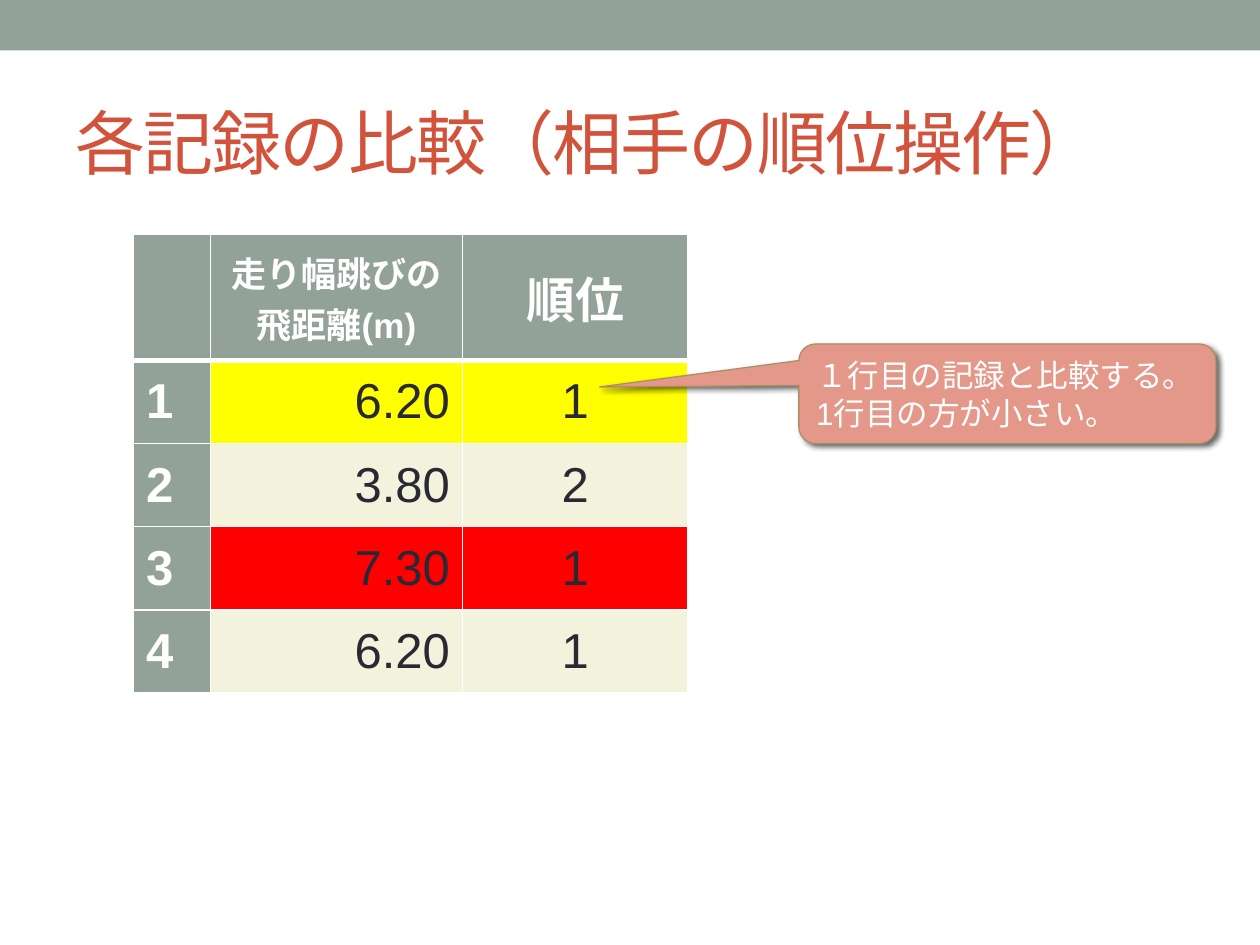
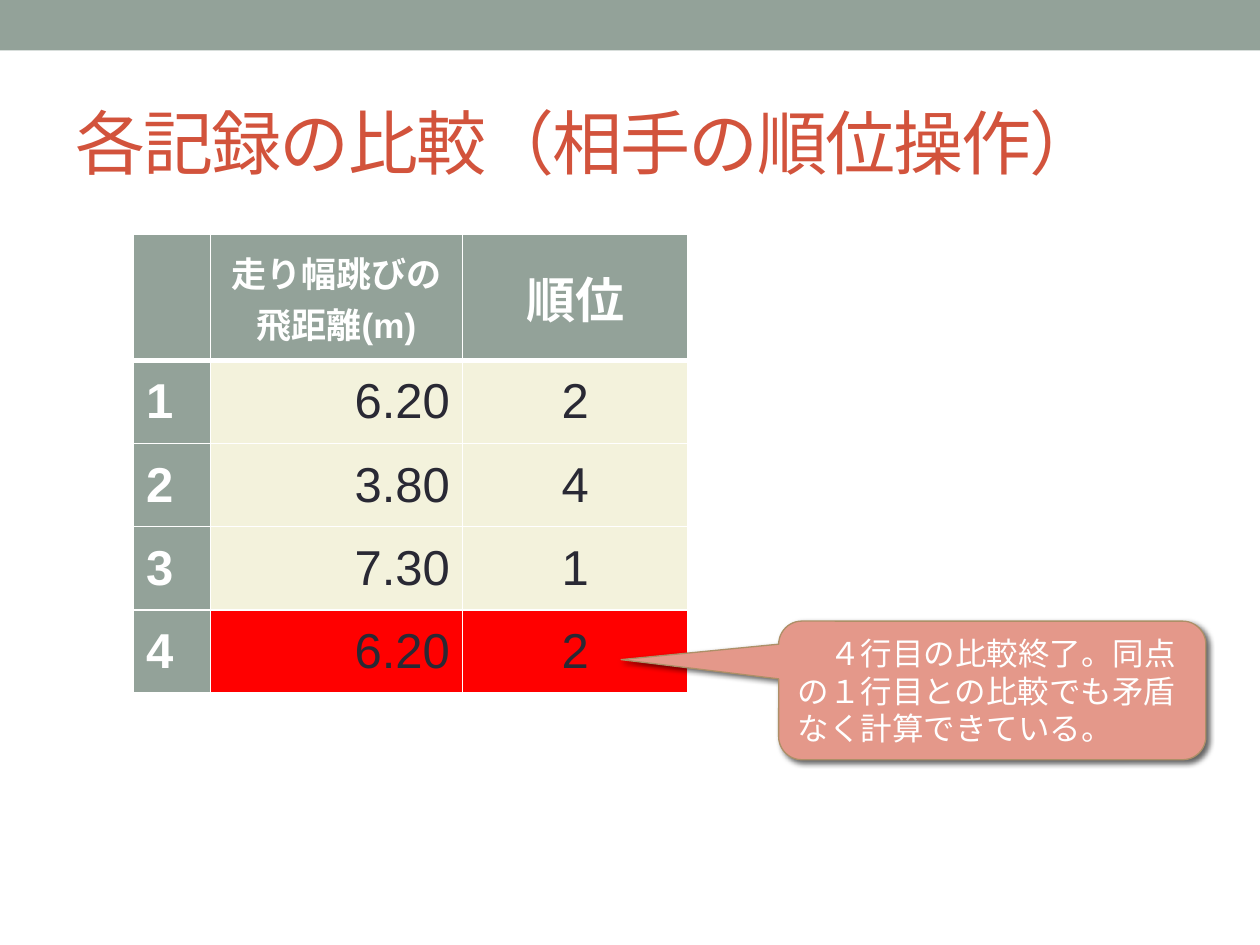
"""Build two slides that compare long-jump records and their ranks."""
from lxml import etree
from pptx import Presentation
from pptx.dml.color import RGBColor
from pptx.enum.shapes import MSO_SHAPE as SHAPE
from pptx.enum.text import MSO_ANCHOR as ANCHOR, PP_ALIGN as ALIGN
from pptx.oxml import parse_xml
from pptx.oxml.ns import nsdecls, qn
from pptx.util import Inches, Pt

FONT = "Arial"
SAGE = RGBColor(0x93, 0xA2, 0x99)
RUST = RGBColor(0xD2, 0x53, 0x3C)
SALMON = RGBColor(0xE4, 0x98, 0x8A)
TAN = RGBColor(0xAD, 0x8F, 0x67)
CREAM = RGBColor(0xF3, 0xF2, 0xDC)
INK = RGBColor(0x29, 0x29, 0x34)
WHITE = RGBColor(0xFF, 0xFF, 0xFF)
YELLOW = RGBColor(0xFF, 0xFF, 0x00)
RED = RGBColor(0xFF, 0x00, 0x00)

TITLE = "各記録の比較（相手の順位操作）"
HEADERS = [([], 28), (["走り幅跳びの", "飛距離(m)"], 20), (["順位"], 28)]
DISTANCES = ["6.20", "3.80", "7.30", "6.20"]
COL_WIDTHS = [0.61, 2, 1.79]
ROW_HEIGHTS = [1] + [0.66] * len(DISTANCES)
COL_ALIGNS = [ALIGN.LEFT, ALIGN.RIGHT, ALIGN.CENTER]

SLIDES = [
    {
        "ranks": [1, 2, 1, 1],
        "highlights": {1: YELLOW, 3: RED},
        "callout": ["１行目の記録と比較する。", "1行目の方が小さい。"],
        "box": (6.34, 2.73, 3.31, 0.79),
        "tail": (-0.978, -0.068),
    },
    {
        "ranks": [2, 4, 1, 2],
        "highlights": {4: RED},
        "callout": ["　４行目の比較終了。同点の１行目との比較でも矛盾なく計算できている。"],
        "box": (6.18, 4.93, 3.39, 1.1),
        "tail": (-0.869, -0.222),
    },
]


def write(tf, lines, size, color, bold=False, align=ALIGN.LEFT, spacing=None):
    for i, line in enumerate(lines):
        p = tf.add_paragraph() if i else tf.paragraphs[0]
        p.alignment = align
        r = p.add_run()
        r.text = line
        r.font.name, r.font.size, r.font.bold = FONT, Pt(size), bold
        r.font.color.rgb = color
        r_pr = r.font._element
        r_pr.set("lang", "ja-JP")
        if spacing is not None:
            r_pr.set("spc", str(spacing * 100))


def add_band(slide):
    sp = slide.shapes.add_shape(SHAPE.RECTANGLE, 0, 0, Inches(10), Inches(0.4))
    sp.shadow.inherit = False
    sp.fill.solid()
    sp.fill.fore_color.rgb = SAGE
    sp.line.fill.background()


def add_title(slide):
    sp = slide.shapes.add_textbox(Inches(0.5), Inches(0.58), Inches(9), Inches(1.08))
    tf = sp.text_frame
    tf.word_wrap = True
    tf.vertical_anchor = ANCHOR.MIDDLE
    write(tf, [TITLE], 40, RUST, spacing=-1)


def set_borders(cell, widths):
    tc_pr = cell._tc.get_or_add_tcPr()
    for i, (side, width) in enumerate(widths.items()):
        ln = parse_xml(
            f'<a:{side} {nsdecls("a")} w="{Pt(width)}"><a:solidFill>'
            f'<a:srgbClr val="{WHITE}"/></a:solidFill></a:{side}>'
        )
        tc_pr.insert(i, ln)


def style_cell(cell, lines, fill, size, color, bold, align, top, bottom):
    cell.fill.solid()
    cell.fill.fore_color.rgb = fill
    cell.vertical_anchor = ANCHOR.MIDDLE
    cell.text_frame.paragraphs[0].font.size = Pt(size)
    write(cell.text_frame, lines, size, color, bold, align)
    set_borders(cell, {"lnL": 1, "lnR": 1, "lnT": top, "lnB": bottom})


def add_record_table(slide, ranks, highlights):
    frame = slide.shapes.add_table(
        len(ROW_HEIGHTS), len(COL_WIDTHS), Inches(1.06), Inches(1.86),
        Inches(sum(COL_WIDTHS)), Inches(sum(ROW_HEIGHTS)),
    )
    table = frame.table
    for col, width in zip(table.columns, COL_WIDTHS):
        col.width = Inches(width)
    for row, height in zip(table.rows, ROW_HEIGHTS):
        row.height = Inches(height)
    for c, (lines, size) in enumerate(HEADERS):
        style_cell(table.cell(0, c), lines, SAGE, size, WHITE, True, ALIGN.CENTER, 1, 3)
    for n, (distance, rank) in enumerate(zip(DISTANCES, ranks), 1):
        for c, value in enumerate((n, distance, rank)):
            is_label = c == 0
            fill = SAGE if is_label else highlights.get(n, CREAM)
            color = WHITE if is_label else INK
            style_cell(table.cell(n, c), [str(value)], fill, 28, color, is_label,
                       COL_ALIGNS[c], 3 if n == 1 else 1, 1)


def add_shadow(sp):
    sp.shadow.inherit = False
    effects = sp._element.spPr.find(qn("a:effectLst"))
    shadow = etree.SubElement(
        effects, qn("a:outerShdw"), blurRad=str(Pt(3)), dist=str(Pt(2)),
        dir=str(45 * 60000), algn="ctr", rotWithShape="0",
    )
    black = etree.SubElement(shadow, qn("a:srgbClr"), val="000000")
    etree.SubElement(black, qn("a:alpha"), val="60000")


def add_callout(slide, lines, box, tail):
    sp = slide.shapes.add_shape(SHAPE.ROUNDED_RECTANGULAR_CALLOUT, *map(Inches, box))
    for i, value in enumerate((*tail, 0.167)):
        sp.adjustments[i] = value
    sp.fill.solid()
    sp.fill.fore_color.rgb = SALMON
    sp.line.color.rgb = TAN
    sp.line.width = Pt(0.75)
    add_shadow(sp)
    tf = sp.text_frame
    tf.word_wrap = True
    tf.vertical_anchor = ANCHOR.MIDDLE
    write(tf, lines, 18, WHITE)


def main():
    prs = Presentation()
    prs.slide_width, prs.slide_height = Inches(10), Inches(7.5)
    for content in SLIDES:
        slide = prs.slides.add_slide(prs.slide_layouts[6])
        add_band(slide)
        add_record_table(slide, content["ranks"], content["highlights"])
        add_title(slide)
        add_callout(slide, content["callout"], content["box"], content["tail"])
    prs.save("out.pptx")


if __name__ == "__main__":
    main()
